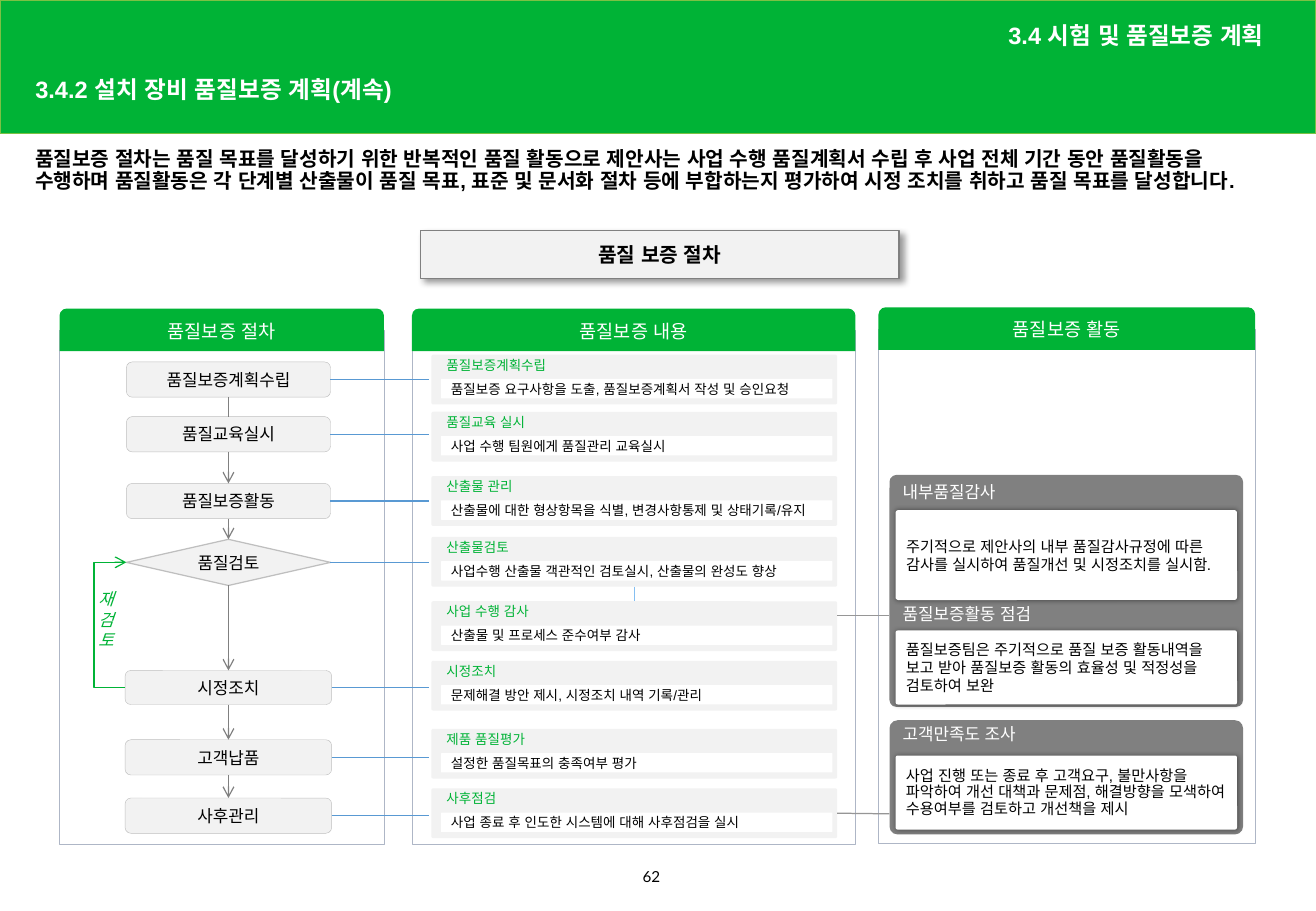
from dataclasses import dataclass

from lxml.etree import SubElement
from pptx import Presentation
from pptx.dml.color import RGBColor
from pptx.enum.lang import MSO_LANGUAGE_ID
from pptx.enum.shapes import MSO_CONNECTOR, MSO_SHAPE
from pptx.enum.text import MSO_ANCHOR, MSO_AUTO_SIZE, PP_ALIGN
from pptx.oxml.ns import qn
from pptx.util import Inches, Pt

TOP, LEFT, BOTTOM, RIGHT = range(4)


@dataclass(frozen=True)
class Theme:
    font: str = "Arial"
    number_font: str = "Lato"
    green: str = "00B336"
    band_edge: str = "7BC144"
    white: str = "FFFFFF"
    black: str = "000000"
    pale: str = "F2F2F2"
    gray: str = "808080"
    step_edge: str = "BFBFBF"
    column_edge: str = "AEB6C6"
    blue: str = "5999D3"
    light_blue: str = "85BFF1"
    link_gray: str = "969696"
    title: int = 14
    lead: int = 12
    header: int = 11
    label: int = 10
    note: int = 9
    detail: int = 8


THEME = Theme()


def write_text(shape, text, size=THEME.label, color=THEME.black, font=THEME.font,
               bold=False, italic=False, align=PP_ALIGN.LEFT, anchor=MSO_ANCHOR.MIDDLE,
               spacing=None, insets=(0.1, 0.05, 0.1, 0.05)):
    frame = shape.text_frame
    frame.word_wrap = True
    frame.auto_size = MSO_AUTO_SIZE.NONE
    frame.vertical_anchor = anchor
    (frame.margin_left, frame.margin_top,
     frame.margin_right, frame.margin_bottom) = map(Inches, insets)
    para = frame.paragraphs[0]
    para.alignment = align
    if spacing:
        para.line_spacing = spacing
    span = para.add_run()
    span.text = text
    span.font.name, span.font.size = font, Pt(size)
    span.font.bold, span.font.italic = bold, italic
    span.font.color.rgb = RGBColor.from_string(color)
    span.font.language_id = MSO_LANGUAGE_ID.KOREAN


class SlideBuilder:
    def __init__(self, page, theme):
        self.page, self.theme = page, theme

    def title(self, text, at, **style):
        holder = self.page.shapes.title
        holder.left, holder.top, holder.width, holder.height = map(Inches, at)
        write_text(holder, text, **style)

    def text(self, text, at, **style):
        write_text(self.page.shapes.add_textbox(*map(Inches, at)), text, **style)

    def shape(self, kind, at, fill, line=None, width=0.25, corner=None,
              shadow=None, text=None, **style):
        box = self.page.shapes.add_shape(kind, *map(Inches, at))
        box.shadow.inherit = False
        box.fill.solid()
        box.fill.fore_color.rgb = RGBColor.from_string(fill)
        if line:
            box.line.color.rgb = RGBColor.from_string(line)
            box.line.width = Pt(width)
        else:
            box.line.fill.background()
        if corner is not None:
            box.adjustments[0] = corner
        if shadow:
            self.add_shadow(box, *shadow)
        if text:
            write_text(box, text, **style)
        return box

    def add_shadow(self, box, blur, distance, angle):
        effects = box._element.spPr.find(qn("a:effectLst"))
        outer = SubElement(effects, qn("a:outerShdw"), blurRad=str(Pt(blur)),
                           dist=str(Pt(distance)), dir=str(angle * 60000),
                           algn="ctr", rotWithShape="0")
        color = SubElement(outer, qn("a:srgbClr"), val=self.theme.black)
        SubElement(color, qn("a:alpha"), val="40000")

    def line(self, color, start=(0, 0), end=(0, 0), begin=None, finish=None,
             arrow=False, kind=MSO_CONNECTOR.STRAIGHT):
        link = self.page.shapes.add_connector(kind, *map(Inches, (*start, *end)))
        if begin:
            link.begin_connect(*begin)
        if finish:
            link.end_connect(*finish)
        link.line.color.rgb = RGBColor.from_string(color)
        link.line.width = Pt(0.75)
        if arrow:
            SubElement(link.line._get_or_add_ln(), qn("a:tailEnd"), type="arrow")
        SubElement(link._element.spPr, qn("a:effectLst"))
        return link

    def column(self, text, left, top, width, bottom):
        theme = self.theme
        self.shape(MSO_SHAPE.RECTANGLE, (left, top + 0.18, width, bottom - top - 0.18),
                   theme.white, theme.column_edge)
        self.shape(MSO_SHAPE.ROUND_2_SAME_RECTANGLE, (left, top, width, 0.35), theme.green,
                   text=text, size=theme.header, color=theme.white, align=PP_ALIGN.CENTER)

    def card(self, heading, detail, top):
        theme = self.theme
        card = self.shape(MSO_SHAPE.ROUNDED_RECTANGLE, (3.55, top, 3.34, 0.41), theme.pale,
                          corner=0.04, text=heading, size=theme.detail, color=theme.green,
                          anchor=MSO_ANCHOR.TOP, spacing=1.1, insets=(0.12, 0, 0, 0))
        self.shape(MSO_SHAPE.ROUNDED_RECTANGLE, (3.63, top + 0.2, 3.22, 0.16), theme.white,
                   corner=0.03, text=detail, size=theme.detail, insets=(0.08, 0.05, 0.04, 0.05))
        return card

    def activity(self, heading, heading_top, detail, top, height, spacing=None):
        theme = self.theme
        self.shape(MSO_SHAPE.ROUNDED_RECTANGLE, (7.37, top, 2.81, height), theme.white,
                   corner=0.03, shadow=(3, 0, 0), text=detail, size=theme.note,
                   spacing=spacing, insets=(0.08, 0.05, 0.04, 0.05))
        self.text(heading, (7.33, heading_top, 2.8, 0.27), color=theme.white,
                  anchor=MSO_ANCHOR.TOP)


STEPS = [  # label, left, top, width, height
    ("품질보증계획수립", 1.04, 2.98, 1.68, 0.29),
    ("품질교육실시", 1.04, 3.43, 1.68, 0.29),
    ("품질보증활동", 1.04, 3.98, 1.68, 0.29),
    ("품질검토", 1.04, 4.44, 1.68, 0.38),
    ("시정조치", 1.03, 5.52, 1.7, 0.28),
    ("고객납품", 1.03, 6.09, 1.7, 0.29),
    ("사후관리", 1.03, 6.57, 1.7, 0.29),
]
REVIEW, FIX = 3, 4
CARDS = [
    ("품질보증계획수립", "품질보증 요구사항을 도출, 품질보증계획서 작성 및 승인요청", 2.92),
    ("품질교육 실시", "사업 수행 팀원에게 품질관리 교육실시", 3.39),
    ("산출물 관리", "산출물에 대한 형상항목을 식별, 변경사항통제 및 상태기록/유지", 3.92),
    ("산출물검토", "사업수행 산출물 객관적인 검토실시, 산출물의 완성도 향상", 4.42),
    ("사업 수행 감사", "산출물 및 프로세스 준수여부 감사", 4.95),
    ("시정조치", "문제해결 방안 제시, 시정조치 내역 기록/관리", 5.44),
    ("제품 품질평가", "설정한 품질목표의 충족여부 평가", 6),
    ("사후점검", "사업 종료 후 인도한 시스템에 대해 사후점검을 실시", 6.49),
]
ACTIVITIES = [
    ("내부품질감사", 3.92, "주기적으로 제안사의 내부 품질감사규정에 따른 감사를 실시하여 "
     "품질개선 및 시정조치를 실시함.", 4.2, 0.74),
    ("품질보증활동 점검", 4.92, "품질보증팀은 주기적으로 품질 보증 활동내역을 보고 받아 "
     "품질보증 활동의 효율성 및 적정성을 검토하여 보완", 5.19, 0.61),
    ("고객만족도 조사", 5.91, "사업 진행 또는 종료 후 고객요구, 불만사항을 파악하여 개선 대책과 "
     "문제점, 해결방향을 모색하여 수용여부를 검토하고 개선책을 제시", 6.22, 0.61, Pt(10)),
]


def main():
    deck = Presentation()
    deck.slide_width, deck.slide_height = Inches(10.83), Inches(7.5)
    page = deck.slides.add_slide(deck.slide_layouts[5])
    slide = SlideBuilder(page, THEME)

    # Title band and lead text
    band = slide.shape(MSO_SHAPE.RECTANGLE, (0, 0, 10.83, 1.1), THEME.green, THEME.band_edge, 1)
    page.shapes.title._element.addprevious(band._element)
    heading = dict(size=THEME.title, color=THEME.white, bold=True, spacing=0.9)
    slide.title("3.4.2 설치 장비 품질보증 계획(계속)", (0.19, 0.59, 6.4, 0.31), **heading)
    slide.text("3.4 시험 및 품질보증 계획", (5.75, 0.11, 4.75, 0.39), align=PP_ALIGN.RIGHT, **heading)
    slide.text("품질보증 절차는 품질 목표를 달성하기 위한 반복적인 품질 활동으로 제안사는 사업 수행 "
               "품질계획서 수립 후 사업 전체 기간 동안 품질활동을 수행하며 품질활동은 각 단계별 산출물이 "
               "품질 목표, 표준 및 문서화 절차 등에 부합하는지 평가하여 시정 조치를 취하고 품질 목표를 "
               "달성합니다.", (0.19, 1.18, 10.35, 0.6), size=THEME.lead, bold=True,
               anchor=MSO_ANCHOR.TOP, spacing=0.9)
    slide.shape(MSO_SHAPE.RECTANGLE, (3.46, 1.9, 3.94, 0.39), THEME.pale, THEME.gray, 0.75,
                shadow=(4, 3, 45), text="품질 보증 절차", size=THEME.lead, bold=True,
                align=PP_ALIGN.CENTER)

    # Columns
    slide.column("품질보증 절차", 0.49, 2.54, 2.67, 6.95)
    slide.column("품질보증 내용", 3.39, 2.54, 3.65, 6.95)
    slide.column("품질보증 활동", 7.23, 2.53, 3.1, 6.94)

    # Procedure steps, each linked to its content card
    steps = []
    for index, (label, *at) in enumerate(STEPS):
        kind = MSO_SHAPE.DIAMOND if index == REVIEW else MSO_SHAPE.ROUNDED_RECTANGLE
        step = slide.shape(kind, at, THEME.pale, THEME.step_edge,
                           0.75 if index == REVIEW else 0.25, text=label, align=PP_ALIGN.CENTER)
        slide.line(THEME.blue, end=(3.53, at[1] + at[3] / 2), begin=(step, RIGHT))
        steps.append(step)
    for index, (upper, lower) in enumerate(zip(steps, steps[1:])):
        slide.line(THEME.gray, begin=(upper, BOTTOM), finish=(lower, TOP), arrow=index > 0)

    # Review loop
    loop = slide.line(THEME.green, (1.03, 5.66), (1.04, 4.63), arrow=True,
                      kind=MSO_CONNECTOR.ELBOW)
    guides = loop._element.spPr.find(qn("a:prstGeom")).get_or_add_avLst()
    SubElement(guides, qn("a:gd"), name="adj1", fmla="val -2600000")
    slide.text("재검토", (0.71, 4.8, 0.35, 0.61), color=THEME.green, italic=True,
               anchor=MSO_ANCHOR.TOP)

    # Content cards
    cards = [slide.card(*card) for card in CARDS]
    slide.line(THEME.light_blue, begin=(cards[3], BOTTOM), finish=(cards[4], TOP))

    # Activity panels
    slide.line(THEME.link_gray, (6.89, 5.07), (7.32, 5.07))
    slide.line(THEME.link_gray, end=(7.32, 6.7), begin=(cards[-1], RIGHT))
    for top, height, corner in ((3.91, 1.91, 0.03), (5.93, 0.94, 0.07)):
        slide.shape(MSO_SHAPE.ROUNDED_RECTANGLE, (7.32, top, 2.91, height), THEME.gray,
                    corner=corner)
    for activity in ACTIVITIES:
        slide.activity(*activity)

    # Page number
    slide.text("62", (5.19, 7.09, 0.45, 0.28), size=THEME.note, font=THEME.number_font,
               anchor=MSO_ANCHOR.TOP)
    deck.save("out.pptx")


if __name__ == "__main__":
    main()
